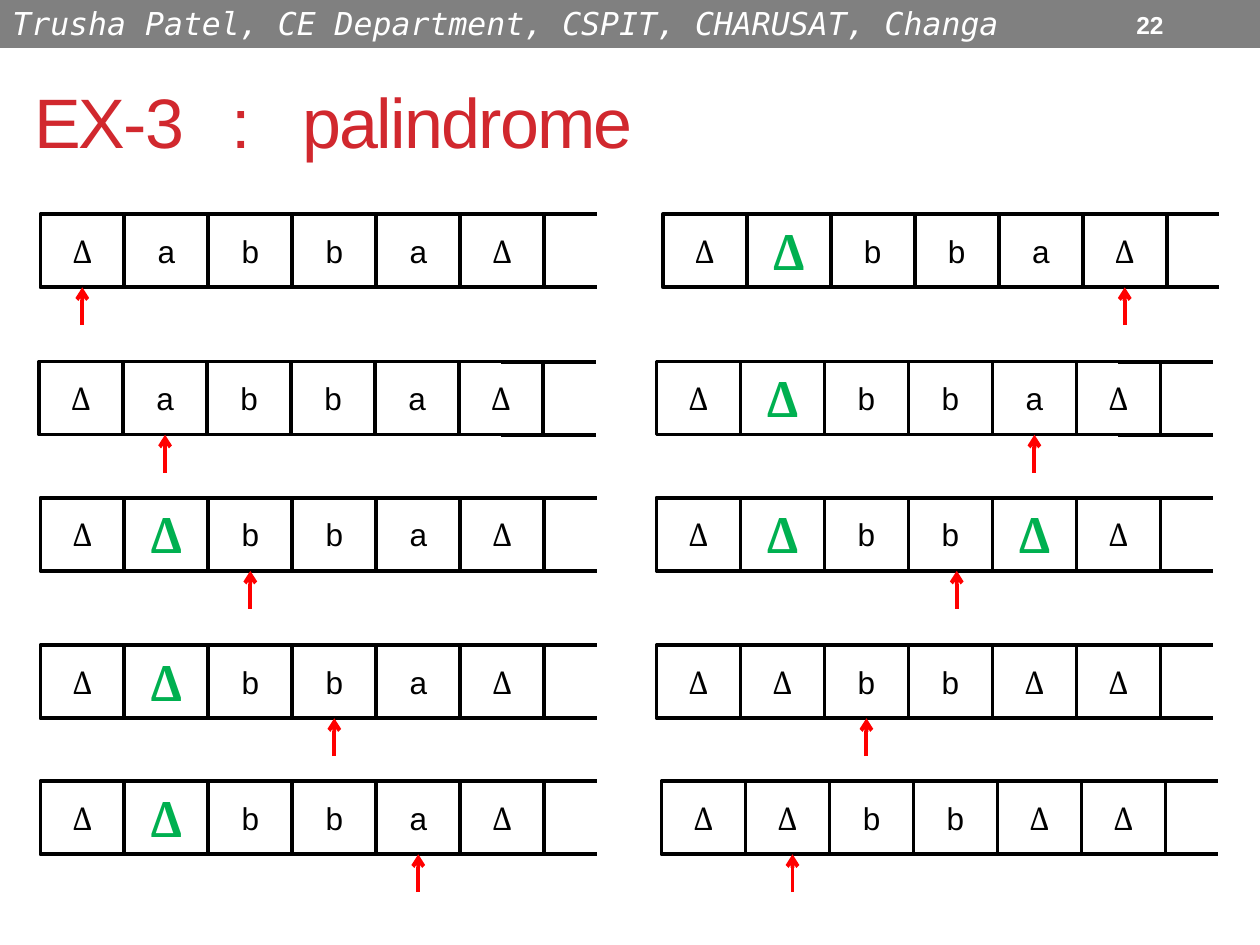
from lxml.etree import SubElement
from pptx import Presentation
from pptx.dml.color import RGBColor
from pptx.enum.shapes import MSO_CONNECTOR, MSO_SHAPE
from pptx.enum.text import MSO_ANCHOR, PP_ALIGN
from pptx.oxml.ns import qn
from pptx.util import Inches, Pt

COLORS = {
    "bar": "808080",
    "title": "D1282E",
    "white": "FFFFFF",
    "ink": "000000",
    "marked": "00B050",
    "head": "FF0000",
}
CELL_WIDTH = 2 / 3
CELL_HEIGHT = 0.58
TAIL_LENGTH = 0.75
ARROW_LENGTH = 0.3


def write(box, text, size=18, font="Arial", color="ink", bold=False, italic=False,
          align=PP_ALIGN.LEFT, anchor=MSO_ANCHOR.MIDDLE):
    frame = box.text_frame
    frame.word_wrap = True
    frame.vertical_anchor = anchor
    para = frame.paragraphs[0]
    para.alignment = align
    span = para.add_run()
    span.text = text
    span.font.size = Pt(size)
    span.font.name = font
    span.font.bold = bold
    span.font.italic = italic
    span.font.color.rgb = RGBColor.from_string(COLORS[color])
    return para


def add_line(shapes, start, end, color):
    line = shapes.add_connector(
        MSO_CONNECTOR.STRAIGHT, *(Inches(value) for value in (*start, *end)))
    line.line.width = Pt(2.25)
    line.line.color.rgb = RGBColor.from_string(COLORS[color])
    SubElement(line.element.spPr, qn("a:effectLst"))
    return line


deck = Presentation()
deck.slide_width = Inches(10)
deck.slide_height = Inches(7.5)
page = deck.slides.add_slide(deck.slide_layouts[5])

title = page.shapes.title
title.left, title.top = Inches(0.17), Inches(0.42)
title.width, title.height = Inches(9.67), Inches(1.08)
title_para = write(title, "EX-3\t:\tpalindrome", size=40, color="title")
title_para.runs[0].font.element.set("spc", "-100") if hasattr(
    title_para.runs[0].font, "element") else title_para.runs[0]._r.get_or_add_rPr().set("spc", "-100")
tab_list = SubElement(title_para._p.get_or_add_pPr(), qn("a:tabLst"))
for position in (1.57, 2.13):
    SubElement(tab_list, qn("a:tab"), pos=str(Inches(position)), algn="l")

header = page.shapes.add_shape(
    MSO_SHAPE.RECTANGLE, Inches(0), Inches(-0.02), Inches(10), Inches(0.4))
header.shadow.inherit = False
header.fill.solid()
header.fill.fore_color.rgb = RGBColor.from_string(COLORS["bar"])
header.line.color.rgb = RGBColor.from_string(COLORS["bar"])
header.line.width = Pt(0.75)
write(header, "Trusha Patel, CE Department, CSPIT, CHARUSAT, Changa",
      font="DejaVu Sans Mono", color="white", italic=True, anchor=MSO_ANCHOR.TOP)
title.element.addprevious(header.element)

page_number = page.shapes.add_textbox(
    Inches(8.92), Inches(0.02), Inches(0.58), Inches(0.35))
write(page_number, "22", size=14, color="white", bold=True)

# left, top, symbols, marked cells, head cell, head shift
tapes = [
    (0.32, 1.7, "ΔabbaΔ", (), 0, 0),
    (0.31, 2.87, "ΔabbaΔ", (), 1, 0),
    (0.32, 3.95, "ΔΔbbaΔ", (1,), 2, 0),
    (0.32, 5.12, "ΔΔbbaΔ", (1,), 3, 0),
    (0.32, 6.2, "ΔΔbbaΔ", (1,), 4, 0),
    (5.26, 1.7, "ΔΔbbaΔ", (1,), 5, 0),
    (5.21, 2.87, "ΔΔbbaΔ", (1,), 4, 0),
    (5.21, 3.95, "ΔΔbbΔΔ", (1, 4), 3, 0.05),
    (5.21, 5.12, "ΔΔbbΔΔ", (), 2, 0),
    (5.25, 6.2, "ΔΔbbΔΔ", (), 1, 0.04),
]

for left, top, symbols, marked, head, shift in tapes:
    tape = page.shapes.add_group_shape().shapes
    bottom = top + CELL_HEIGHT
    cells = []
    for index, symbol in enumerate(symbols):
        cell = tape.add_shape(
            MSO_SHAPE.RECTANGLE, Inches(left + index * CELL_WIDTH), Inches(top),
            Inches(CELL_WIDTH), Inches(CELL_HEIGHT))
        cell.shadow.inherit = False
        cell.fill.background()
        cell.line.color.rgb = RGBColor.from_string(COLORS["ink"])
        cell.line.width = Pt(2.08)
        is_marked = index in marked
        write(cell, symbol, size=28 if is_marked else 18,
              font="Cambria" if symbol == "Δ" else "Arial",
              color="marked" if is_marked else "ink",
              bold=is_marked, align=PP_ALIGN.CENTER)
        cells.append(cell)

    tail_start = left + (len(symbols) - 0.5) * CELL_WIDTH
    for edge, side in ((top, 0), (bottom, 2)):
        tail = add_line(tape, (tail_start, edge), (tail_start + TAIL_LENGTH, edge), "ink")
        tail.begin_connect(cells[-1], side)

    head_x = left + (head + 0.5) * CELL_WIDTH + shift
    arrow = add_line(tape, (head_x, bottom + ARROW_LENGTH), (head_x, bottom), "head")
    SubElement(arrow.line._get_or_add_ln(), qn("a:tailEnd"), type="arrow")
    if not shift:
        arrow.end_connect(cells[head], 2)

deck.save("out.pptx")
